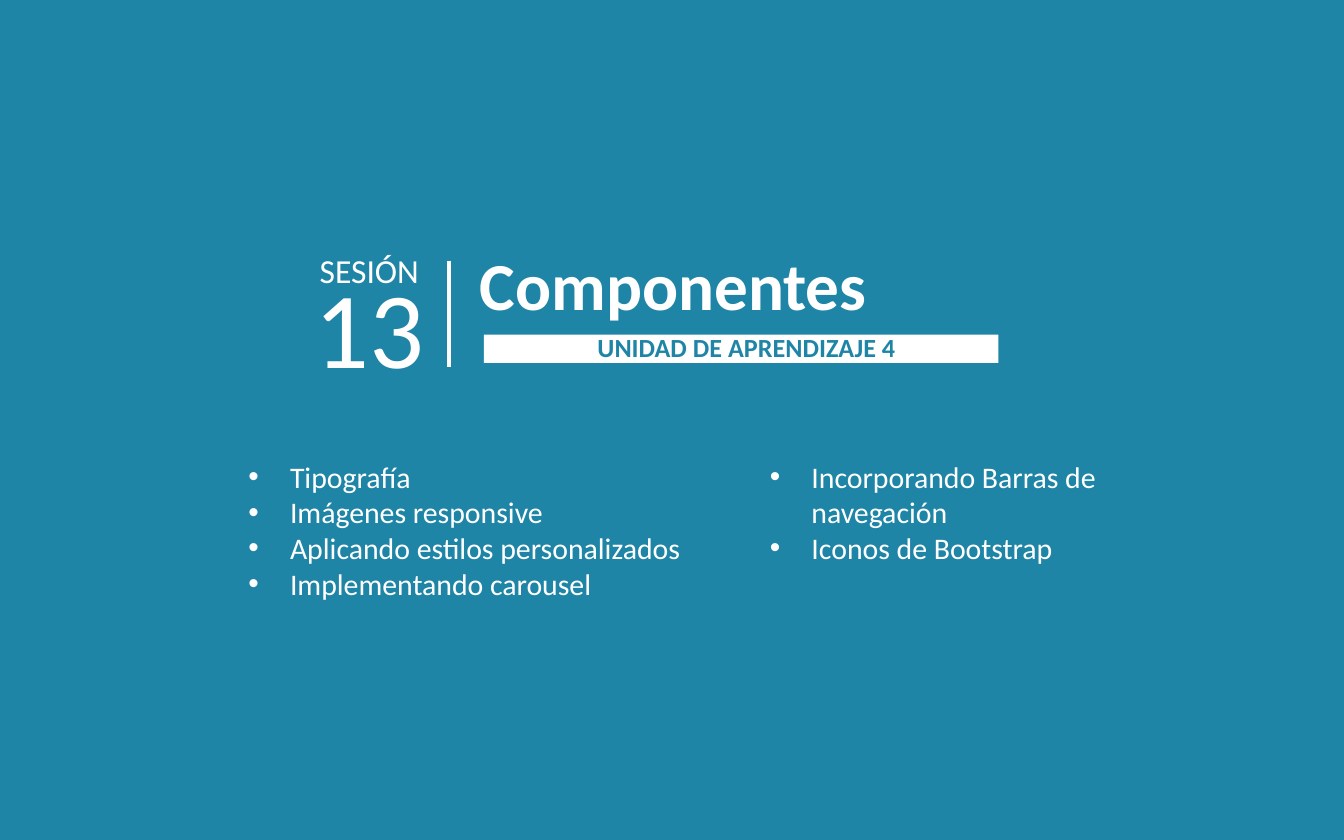
from lxml import etree
from pptx import Presentation
from pptx.dml.color import RGBColor
from pptx.enum import shapes, text
from pptx.oxml.ns import qn
from pptx.util import Inches, Pt

FONT = "Calibri"
TEAL, WHITE = "1F85A6", "FFFFFF"
WIDTH, HEIGHT = 10, 6.25

TITLE = "Componentes"
UNIT = "UNIDAD DE APRENDIZAJE 4"
# wording, size, (left, top, width, height)
SESSION = [
    ("SESIÓN", 18, (2.28, 1.81, 0.95, 0.4)),
    ("13", 58, (2.24, 1.89, 1.05, 1.11)),
]
TOPICS = [
    ["Tipografía", "Imágenes responsive",
     "Aplicando estilos personalizados", "Implementando carousel"],
    ["Incorporando Barras de navegación", "Iconos de Bootstrap"],
]
TOPICS_LEFT, TOPICS_TOP, TOPICS_WIDTH, TOPICS_STEP = 1.75, 3.36, 3.6, 3.88
TOPIC_SIZE, TOPIC_LINE, BULLET_INDENT = 16, 0.27, 0.31


def color(value):
    return RGBColor.from_string(value)


def add_rectangle(page, place, fill):
    box = page.shapes.add_shape(shapes.MSO_SHAPE.RECTANGLE, *map(Inches, place))
    box.shadow.inherit = False
    box.fill.solid()
    box.fill.fore_color.rgb = color(fill)
    box.line.fill.background()
    return box


def add_bullet(para):
    props = para._p.get_or_add_pPr()
    indent = Inches(BULLET_INDENT)
    props.set("marL", str(indent))
    props.set("indent", str(-indent))
    bullet_color = etree.SubElement(props, qn("a:buClr"))
    etree.SubElement(bullet_color, qn("a:srgbClr"), val=WHITE)
    etree.SubElement(props, qn("a:buFont"), typeface="Arial")
    etree.SubElement(props, qn("a:buChar"), char="•")


def write(box, lines, size, fill=WHITE, bold=False, spacing=None,
          align=text.PP_ALIGN.LEFT, anchor=text.MSO_ANCHOR.TOP, bullets=False):
    frame = box.text_frame
    frame.word_wrap = True
    frame.auto_size = text.MSO_AUTO_SIZE.NONE
    frame.vertical_anchor = anchor
    for index, line in enumerate(lines):
        para = frame.add_paragraph() if index else frame.paragraphs[0]
        para.alignment = align
        if spacing:
            para.line_spacing = spacing
        if bullets:
            add_bullet(para)
        span = para.add_run()
        span.text = line
        span.font.name = FONT
        span.font.size = Pt(size)
        span.font.bold = bold
        span.font.color.rgb = color(fill)


def add_text(page, place, lines, size, **style):
    write(page.shapes.add_textbox(*map(Inches, place)), lines, size, **style)


def add_divider(page):
    divider = page.shapes.add_connector(
        shapes.MSO_CONNECTOR.STRAIGHT, *map(Inches, (3.34, 1.94, 3.34, 2.73)))
    divider.line.color.rgb = color(WHITE)
    divider.line.width = Pt(2)
    etree.SubElement(divider.element.spPr, qn("a:effectLst"))


def main():
    deck = Presentation()
    deck.slide_width, deck.slide_height = Inches(WIDTH), Inches(HEIGHT)
    page = deck.slides.add_slide(deck.slide_layouts[5])
    title = page.shapes.title

    add_rectangle(page, (0, 0, WIDTH, HEIGHT), TEAL)
    for wording, size, place in SESSION:
        add_text(page, place, [wording], size)

    # The title placeholder comes first, so lift it above the background.
    title.element.getparent().append(title.element)
    title.left, title.top, title.width, title.height = map(
        Inches, (3.47, 1.88, 5.9, 0.6))
    write(title, [TITLE], 36, bold=True, spacing=0.8)

    add_divider(page)
    banner = add_rectangle(page, (3.6, 2.49, 3.83, 0.21), WHITE)
    frame = banner.text_frame
    frame.margin_left = Inches(0.08)
    frame.margin_right = frame.margin_top = frame.margin_bottom = 0
    write(banner, [UNIT], 14, fill=TEAL, bold=True, spacing=0.9,
          align=text.PP_ALIGN.CENTER, anchor=text.MSO_ANCHOR.MIDDLE)

    for column, topics in enumerate(TOPICS):
        rows = max(len(topics), 3)  # the long topic wraps onto a second line
        place = (TOPICS_LEFT + column * TOPICS_STEP, TOPICS_TOP,
                 TOPICS_WIDTH, rows * TOPIC_LINE + 0.1)
        add_text(page, place, topics, TOPIC_SIZE, bullets=True)

    deck.save("out.pptx")


if __name__ == "__main__":
    main()
